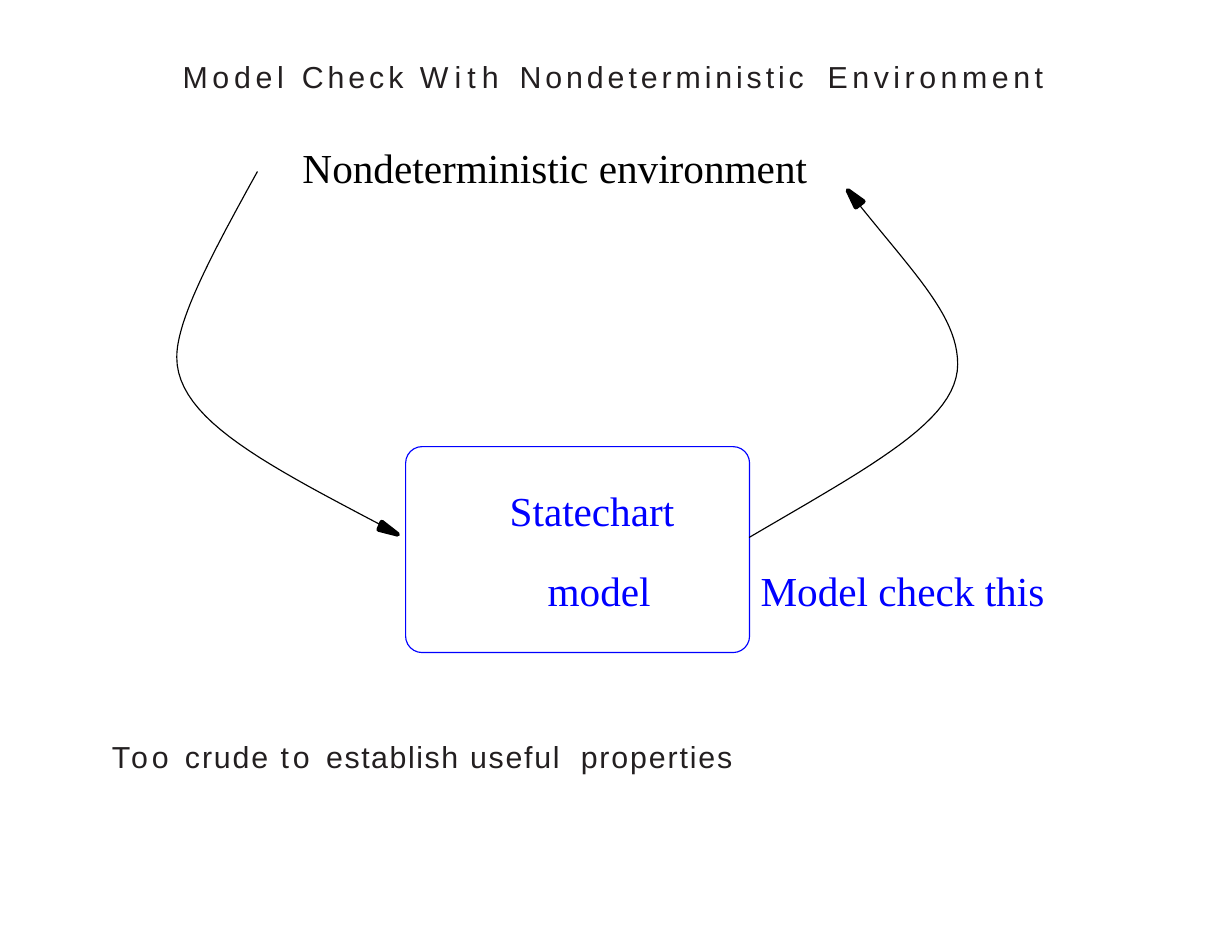
"""Builds a slide on model checking with a nondeterministic environment."""
import pptx
import pptx.dml.color
import pptx.enum.shapes
import pptx.enum.text
import pptx.util

Cm = pptx.util.Cm
Pt = pptx.util.Pt
BLACK = pptx.dml.color.RGBColor(0x00, 0x00, 0x00)
BLUE = pptx.dml.color.RGBColor(0x00, 0x00, 0xFF)
CHARCOAL = pptx.dml.color.RGBColor(0x23, 0x1F, 0x20)
SANS = ("Arial", 19.5, CHARCOAL)
SERIF_BLUE = ("Times New Roman", 26.5, BLUE)
SERIF_BLACK = ("Times New Roman", 26.5, BLACK)

TITLE = ("Nondeterministic environment", (2.49, 2.57, 22.96, 3.07))
SPACED_LINES = [
    ((4.14, 1.32, 19.69, 0.86),
     [("Model ", 3), ("Check ", 2.5), ("With ", 3.9),
      ("Nondeterministic", 2.5), (" ", 7), ("Environment", 2.9)]),
    ((2.54, 16.74, 14.3, 0.86),
     [("Too ", 2.5), ("crude ", 1.2), ("to ", 2.5),
      ("establish ", 1), ("useful", 1.1), (" ", 6.9), ("properties", 1.2)]),
]
MODEL_BOX = (9.2, 10.13, 7.8, 4.67)
MODEL_LABEL = ("Statechart model", (11.53, 10.31, 3.86, 3.66))
CHECK_LABEL = ("Model check this", (17.25, 12.83, 6.5, 1.14))
CURVES = [
    [(5.84, 3.89), (4.83, 5.72), (4.01, 7.24), (4.01, 8.1),
     (4.01, 9.53), (6.1, 10.57), (8.99, 12.09)],
    [(16.99, 12.19), (19.81, 10.54), (21.72, 9.53), (21.72, 8.26),
     (21.72, 7.11), (20.62, 6.1), (19.23, 4.32)],
]
ARROWHEADS = [
    [(9.02, 12.12), (8.66, 11.84), (8.59, 12.01)],
    [(19.23, 4.32), (19.58, 4.57), (19.41, 4.7)],
]
STEPS = 24


def bezier_points(controls):
    points = [controls[0]]
    for first in range(0, len(controls) - 1, 3):
        segment = controls[first:first + 4]
        for step in range(1, STEPS + 1):
            t = step / STEPS
            weights = ((1 - t) ** 3, 3 * t * (1 - t) ** 2, 3 * t * t * (1 - t), t ** 3)
            points.append(tuple(
                sum(weight * point[axis] for weight, point in zip(weights, segment))
                for axis in (0, 1)))
    return points


def style_line(shape, color, width):
    shape.shadow.inherit = False
    shape.line.color.rgb = color
    shape.line.width = Pt(width)


def add_outline(slide, points, width, closed):
    corners = [(Cm(x), Cm(y)) for x, y in points]
    builder = slide.shapes.build_freeform(*corners[0])
    builder.add_line_segments(corners[1:], close=closed)
    shape = builder.convert_to_shape()
    style_line(shape, BLACK, width)
    if closed:
        shape.fill.solid()
        shape.fill.fore_color.rgb = BLACK
    else:
        shape.fill.background()


def style_run(run, style):
    run.font.name, size, run.font.color.rgb = style
    run.font.size = Pt(size)


def prepare_frame(shape):
    frame = shape.text_frame
    frame.margin_left = frame.margin_top = frame.margin_right = frame.margin_bottom = 0
    frame.word_wrap = True
    frame.auto_size = pptx.enum.text.MSO_AUTO_SIZE.NONE
    frame.vertical_anchor = pptx.enum.text.MSO_ANCHOR.TOP
    return frame


def add_text(slide, place, pieces, style):
    frame = prepare_frame(slide.shapes.add_textbox(*map(Cm, place)))
    paragraph = frame.paragraphs[0]
    for text, spacing in pieces:
        run = paragraph.add_run()
        run.text = text
        style_run(run, style)
        if spacing:
            run.font._element.set("spc", str(round(spacing * 100)))
    return paragraph


def set_title(slide):
    text, place = TITLE
    title = slide.shapes.title
    title.left, title.top, title.width, title.height = map(Cm, place)
    frame = prepare_frame(title)
    frame.margin_left = Cm(4.37)
    frame.margin_top = Cm(0.66)
    frame.text = text
    paragraph = frame.paragraphs[0]
    paragraph.alignment = pptx.enum.text.PP_ALIGN.LEFT
    style_run(paragraph.runs[0], SERIF_BLACK)


def main():
    presentation = pptx.Presentation()
    presentation.slide_width, presentation.slide_height = Cm(27.94), Cm(21.59)
    slide = presentation.slides.add_slide(presentation.slide_layouts[5])
    set_title(slide)

    box = slide.shapes.add_shape(
        pptx.enum.shapes.MSO_SHAPE.ROUNDED_RECTANGLE, *map(Cm, MODEL_BOX))
    box.adjustments[0] = 0.08
    box.fill.background()
    style_line(box, BLUE, 0.75)

    for controls, arrowhead in zip(CURVES, ARROWHEADS):
        add_outline(slide, bezier_points(controls), 0.75, False)
        add_outline(slide, arrowhead, 2.95, True)

    for place, pieces in SPACED_LINES:
        add_text(slide, place, pieces, SANS)
    text, place = CHECK_LABEL
    add_text(slide, place, [(text, 0)], SERIF_BLUE)
    text, place = MODEL_LABEL
    paragraph = add_text(slide, place, [(text, 0)], SERIF_BLUE)
    paragraph.line_spacing = 1.62
    properties = paragraph._p.get_or_add_pPr()
    properties.set("marL", str(Cm(0.89)))
    properties.set("indent", str(Cm(-0.86)))

    presentation.save("out.pptx")


if __name__ == "__main__":
    main()
